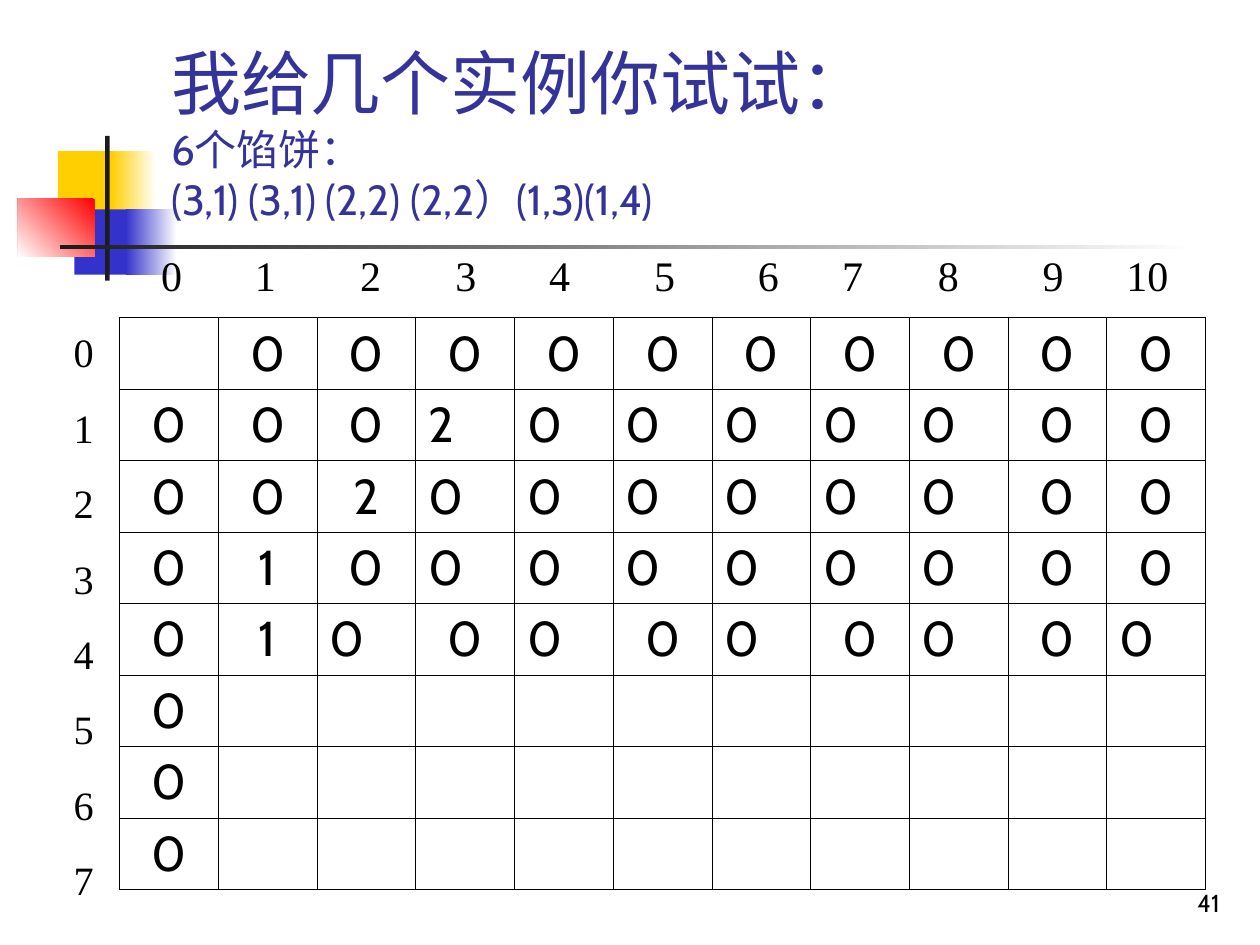
import pptx
from lxml import etree
from pptx import util as u
from pptx.dml.color import RGBColor
from pptx.enum import shapes, text
from pptx.oxml import ns

WHITE = RGBColor(0xFF, 0xFF, 0xFF)
BLACK = RGBColor(0x00, 0x00, 0x00)
CHARCOAL = RGBColor(0x1C, 0x1C, 0x1C)
YELLOW = RGBColor(0xFF, 0xCF, 0x01)
BLUE = RGBColor(0x33, 0x33, 0xCC)
RED = RGBColor(0xFF, 0x00, 0x00)
NAVY = RGBColor(0x33, 0x33, 0x99)

LEFT, CENTER, RIGHT = text.PP_ALIGN.LEFT, text.PP_ALIGN.CENTER, text.PP_ALIGN.RIGHT
TOP, BOTTOM = text.MSO_ANCHOR.TOP, text.MSO_ANCHOR.BOTTOM

# Each row: the cell values, then the alignment of each cell (c = centre, l = left)
GRID = [
    (" 0000000000", "ccccccccccc"),
    ("00020000000", "cccllllllcc"),
    ("00200000000", "cccllllllcc"),
    ("01000000000", "cccllllllcc"),
    ("01000000000", "cclclclclcl"),
] + [("0          ", "ccccccccccc")] * 3
COL_W, ROW_H = 1.99, 1.44
HEADER_STOPS = [0.42, 2.31, 4.43, 6.35, 8.24, 10.36, 12.45, 14.15, 16.08, 18.19, 20.09]


class Deck:
    sans, serif = "Cabin", "Times New Roman"
    thin, thick = u.Pt(0.45), u.Pt(1.08)

    def __init__(self, prs):
        self.s = prs.slides.add_slide(prs.slide_layouts[6])

    def rect(self, box, color, end=None, angle=180):
        """Rectangle, plain or fading from color to end."""
        sp = self.s.shapes.add_shape(shapes.MSO_SHAPE.RECTANGLE, *map(u.Cm, box))
        sp.shadow.inherit = False
        sp.line.fill.background()
        if end is None:
            sp.fill.solid()
            sp.fill.fore_color.rgb = color
        else:
            sp.fill.gradient()
            sp.fill.gradient_angle = angle
            for stop, rgb in zip(sp.fill.gradient_stops, (color, end)):
                stop.color.rgb = rgb

    def run(self, p, words, size, font=sans, color=BLACK):
        r = p.add_run()
        r.text = words
        r.font.size = u.Pt(size)
        r.font.name = font
        r.font.color.rgb = color

    def text_frame(self, box, anchor=TOP):
        tf = self.s.shapes.add_textbox(*map(u.Cm, box)).text_frame
        tf.word_wrap = True
        tf.vertical_anchor = anchor
        return tf

    def title(self, box, lines):
        p = self.text_frame(box, BOTTOM).paragraphs[0]
        for i, (words, size) in enumerate(lines):
            if i:
                p.add_line_break()
            self.run(p, words, size, color=NAVY)

    def tabbed_line(self, box, words, stops, size):
        """One line with each word centred on its own tab stop."""
        p = self.text_frame(box).paragraphs[0]
        tabs = etree.SubElement(p._p.get_or_add_pPr(), ns.qn("a:tabLst"))
        for stop in stops:
            etree.SubElement(tabs, ns.qn("a:tab"), pos=str(u.Cm(stop)), algn="ctr")
        self.run(p, "".join("\t" + word for word in words), size, self.serif)

    def column(self, box, words, size, gap):
        tf = self.text_frame(box)
        for i, word in enumerate(words):
            p = tf.add_paragraph() if i else tf.paragraphs[0]
            p.alignment = CENTER
            if i:
                p.space_before = u.Pt(gap)
            self.run(p, word, size, self.serif)

    def page_number(self, box, words):
        p = self.text_frame(box, BOTTOM).paragraphs[0]
        p.alignment = RIGHT
        self.run(p, words, 14)

    def borders(self, cell, outer):
        """Draw the four cell borders, thick on the sides where outer is true."""
        tc_pr = cell._tc.get_or_add_tcPr()
        for side, is_outer in zip("LRTB", outer):
            width = self.thick if is_outer else self.thin
            ln = etree.SubElement(tc_pr, ns.qn(f"a:ln{side}"), w=str(width))
            fill = etree.SubElement(ln, ns.qn("a:solidFill"))
            etree.SubElement(fill, ns.qn("a:srgbClr"), val=str(BLACK))

    def table(self, left, top, grid):
        rows, cols = len(grid), len(grid[0][0])
        size = (COL_W * cols, ROW_H * rows)
        table = self.s.shapes.add_table(rows, cols, *map(u.Cm, (left, top, *size))).table
        table.first_row = table.horz_banding = False
        for column in table.columns:
            column.width = u.Cm(COL_W)
        for row in table.rows:
            row.height = u.Cm(ROW_H)
        for i, (values, aligns) in enumerate(grid):
            for j, (value, align) in enumerate(zip(values, aligns)):
                cell = table.cell(i, j)
                self.borders(cell, (j == 0, j == cols - 1, i == 0, i == rows - 1))
                cell.fill.background()
                if value != " ":
                    p = cell.text_frame.paragraphs[0]
                    p.alignment = CENTER if align == "c" else LEFT
                    self.run(p, value, 28)


def main():
    prs = pptx.Presentation()
    prs.slide_width, prs.slide_height = u.Cm(25.4), u.Cm(19.05)
    d = Deck(prs)

    d.rect((1.17, 3.05, 1.22, 1.32), YELLOW)
    d.rect((2.24, 3.05, 0.91, 1.32), WHITE, YELLOW)
    d.rect((1.5, 4.22, 1.17, 1.32), BLUE)
    d.rect((2.54, 4.22, 1.02, 1.32), WHITE, BLUE)
    d.rect((0.36, 4.01, 1.55, 1.17), RED, WHITE, 225)
    d.rect((2.12, 2.74, 0.09, 2.92), CHARCOAL)
    d.rect((1.22, 4.94, 22.86, 0.09), WHITE, CHARCOAL)

    d.title((3.2, 0.58, 22.2, 4.06), [
        ("我给几个实例你试试：", 40),
        ("6个馅饼：", 24),
        ("(3,1) (3,1) (2,2) (2,2）(1,3)(1,4)", 24),
    ])
    d.table(2.41, 6.4, GRID)
    d.tabbed_line((2.79, 4.9, 21.11, 1.27), map(str, range(11)), HEADER_STOPS, 24)
    d.column((0.79, 6.48, 1.8, 11.58), map(str, range(8)), 23, 15.5)
    d.page_number((19.56, 17.35, 5.28, 1.27), "41")
    prs.save("out.pptx")


if __name__ == "__main__":
    main()
